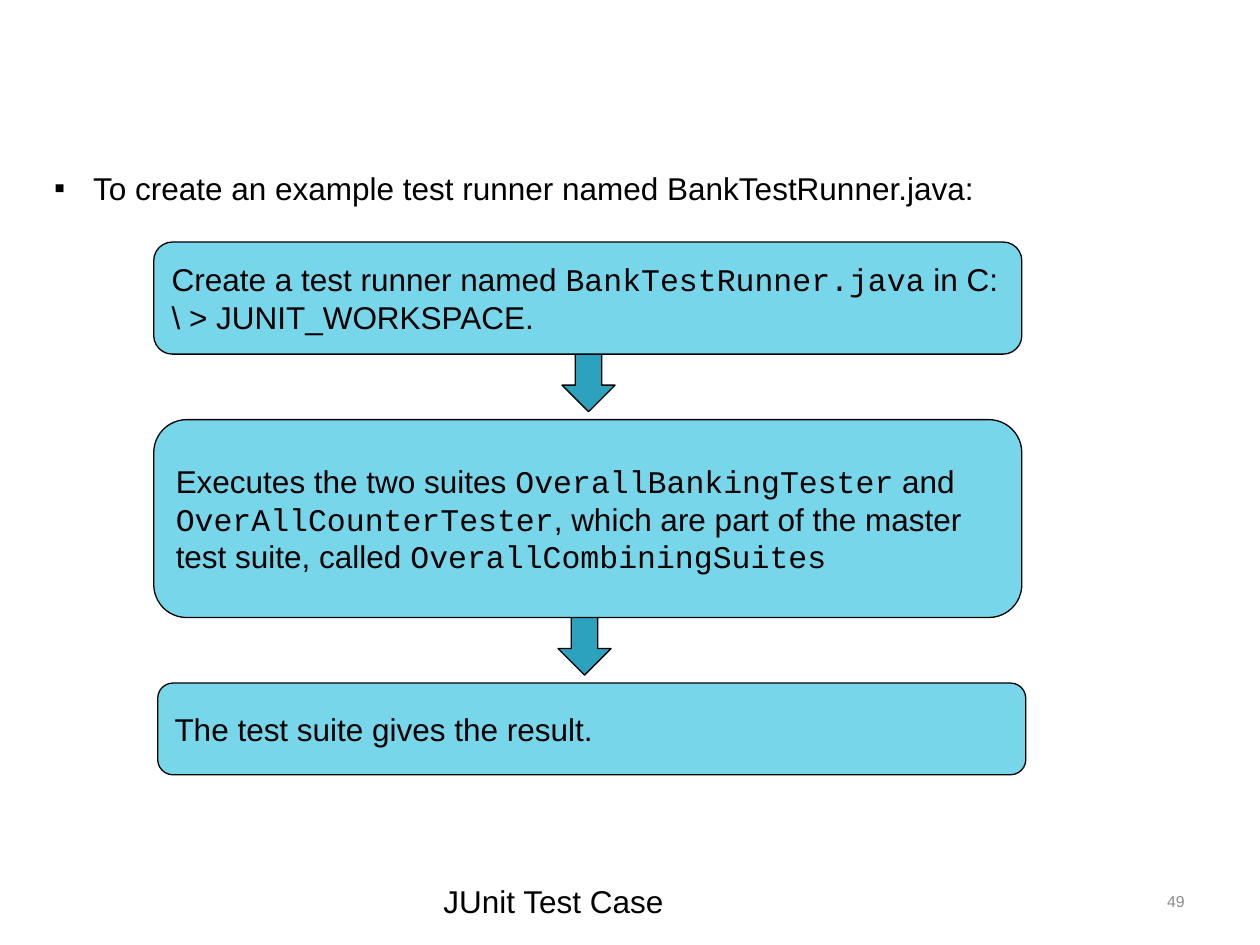
from dataclasses import dataclass

from lxml.etree import SubElement
from pptx import Presentation
from pptx.dml.color import RGBColor as Rgb
from pptx.enum.shapes import MSO_SHAPE as Preset
from pptx.enum.text import MSO_ANCHOR as Anchor, PP_ALIGN as Align
from pptx.oxml.ns import qn
from pptx.util import Cm, Pt


@dataclass(frozen=True)
class Theme:
    step_fill: Rgb = Rgb(0x78, 0xD6, 0xEA)
    arrow_fill: Rgb = Rgb(0x2D, 0xA2, 0xBF)
    ink: Rgb = Rgb(0, 0, 0)
    muted: Rgb = Rgb(0x8C, 0x8C, 0x8C)
    body_font: str = "Arial"
    code_font: str = "Courier New"
    body_size: Pt = Pt(18)
    number_size: Pt = Pt(9)
    outline: Pt = Pt(0.75)


@dataclass(frozen=True)
class Area:
    left: float
    top: float
    width: float
    height: float

    def lengths(self) -> list:
        return [Cm(side) for side in (self.left, self.top, self.width, self.height)]


@dataclass(frozen=True)
class Step:
    area: Area
    wording: str


@dataclass(frozen=True)
class Caption:
    area: Area
    wording: str
    size: Pt
    color: Rgb
    anchor: Anchor = Anchor.TOP
    align: Align = Align.LEFT
    bullet: str = ""


THEME = Theme()
STEP_LEFT, STEP_WIDTH = 3.1, 17.5
ARROW_WIDTH, ARROW_HEIGHT = 1.07, 1.75

ARROWS = [
    Area(11.33, 6.55, ARROW_WIDTH, ARROW_HEIGHT),
    Area(11.25, 11.86, ARROW_WIDTH, ARROW_HEIGHT),
]
STEPS = [
    Step(Area(STEP_LEFT, 4.88, STEP_WIDTH, 2.26),
         r"Create a test runner named `BankTestRunner.java` in C:\ > JUNIT_WORKSPACE."),
    Step(Area(STEP_LEFT, 8.46, STEP_WIDTH, 3.99),
         "Executes the two suites `OverallBankingTester` and `OverAllCounterTester`, "
         "which are part of the master test suite, called `OverallCombiningSuites`"),
    Step(Area(STEP_LEFT + 0.08, 13.77, STEP_WIDTH, 1.85),
         "The test suite gives the result."),
]
CAPTIONS = [
    Caption(Area(0.84, 3.28, 20.32, 2.18),
            "To create an example test runner named BankTestRunner.java:",
            THEME.body_size, THEME.ink, bullet="▪"),
    Caption(Area(8.69, 17.65, 8.05, 1.02), "JUnit Test Case",
            THEME.body_size, THEME.ink),
    Caption(Area(18.21, 17.65, 5.92, 1.02), "49",
            THEME.number_size, THEME.muted, Anchor.MIDDLE, Align.RIGHT),
]


def apply(target, formats: dict) -> None:
    for name, value in formats.items():
        setattr(target, name, value)


def write(frame, wording: str, size: Pt, color: Rgb, anchor: Anchor, align: Align):
    apply(frame, {"word_wrap": True, "vertical_anchor": anchor})
    paragraph = frame.paragraphs[0]
    paragraph.alignment = align
    for position, piece in enumerate(wording.split("`")):
        if piece:
            run = paragraph.add_run()
            run.text = piece
            family = THEME.code_font if position % 2 else THEME.body_font
            apply(run.font, {"name": family, "size": size})
            run.font.color.rgb = color
    return paragraph


def draw_block(slide, preset: Preset, area: Area, fill: Rgb):
    block = slide.shapes.add_shape(preset, *area.lengths())
    block.shadow.inherit = False
    block.fill.solid()
    block.fill.fore_color.rgb = fill
    block.line.color.rgb = THEME.ink
    block.line.width = THEME.outline
    return block


def draw_step(slide, step: Step) -> None:
    block = draw_block(slide, Preset.ROUNDED_RECTANGLE, step.area, THEME.step_fill)
    write(block.text_frame, step.wording, THEME.body_size, THEME.ink,
          Anchor.MIDDLE, Align.LEFT)


def draw_caption(slide, caption: Caption) -> None:
    frame = slide.shapes.add_textbox(*caption.area.lengths()).text_frame
    paragraph = write(frame, caption.wording, caption.size, caption.color,
                      caption.anchor, caption.align)
    if caption.bullet:
        properties = paragraph._p.get_or_add_pPr()
        indent = Cm(0.79)
        properties.set("marL", str(indent))
        properties.set("indent", str(-indent))
        SubElement(properties, qn("a:buFont")).set("typeface", THEME.body_font)
        SubElement(properties, qn("a:buChar")).set("char", caption.bullet)


def main() -> None:
    deck = Presentation()
    apply(deck, {"slide_width": Cm(25.4), "slide_height": Cm(19.05)})
    slide = deck.slides.add_slide(deck.slide_layouts[6])
    for arrow in ARROWS:
        draw_block(slide, Preset.DOWN_ARROW, arrow, THEME.arrow_fill)
    for step in STEPS:
        draw_step(slide, step)
    for caption in CAPTIONS:
        draw_caption(slide, caption)
    deck.save("out.pptx")


if __name__ == "__main__":
    main()
